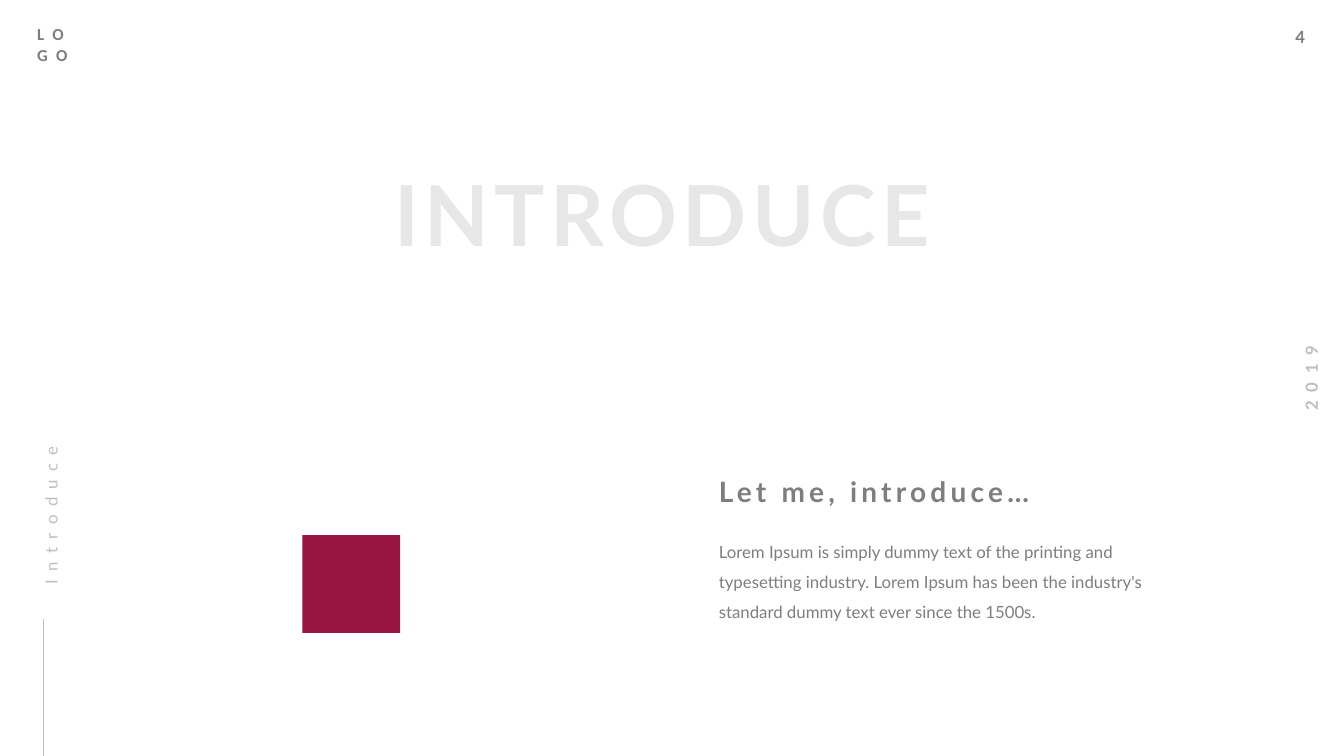
from pptx import Presentation
from pptx.dml.color import RGBColor
from pptx.enum.shapes import MSO_CONNECTOR, MSO_SHAPE
from pptx.enum.text import MSO_ANCHOR, MSO_AUTO_SIZE, PP_ALIGN
from pptx.oxml.xmlchemy import OxmlElement
from pptx.util import Inches, Pt

LEFT, CENTER = PP_ALIGN.LEFT, PP_ALIGN.CENTER
TOP, NO_FIT = MSO_ANCHOR.TOP, MSO_AUTO_SIZE.NONE
RECT, STRAIGHT = MSO_SHAPE.RECTANGLE, MSO_CONNECTOR.STRAIGHT
GRAY = RGBColor(0x7E, 0x7E, 0x7E)
SILVER = RGBColor(0xBF, 0xBF, 0xBF)
PALE = RGBColor(0xE7, 0xE7, 0xE7)
CRIMSON = RGBColor(0x98, 0x14, 0x41)
FLUSH = (0, 0, 0.1, 0)
DEFAULT_INSETS = (0.1, 0.05, 0.1, 0.05)
SPACED = {"space_before": Pt(12)}
BODY = {"space_before": Pt(12), "line_spacing": 1.5}


class SlideBuilder:
    def __init__(self, prs):
        self.font = {"name": "Lato", "size": Pt(12), "bold": False}
        self.slide = prs.slides.add_slide(prs.slide_layouts[5])

    def apply(self, target, values):
        for name, value in values.items():
            setattr(target, name, value)

    def fill_text(self, sp, lines, color, font=None, para=None, spacing=0,
                  insets=DEFAULT_INSETS, wrap=True):
        tf = sp.text_frame
        sides = ("margin_left", "margin_top", "margin_right", "margin_bottom")
        self.apply(tf, dict(zip(sides, map(Inches, insets))))
        self.apply(tf, {"word_wrap": wrap, "vertical_anchor": TOP, "auto_size": NO_FIT})
        for i, line in enumerate(lines):
            p = tf.add_paragraph() if i else tf.paragraphs[0]
            self.apply(p, {"alignment": LEFT, **(para or {})})
            r = p.add_run()
            r.text = line
            self.apply(r.font, {**self.font, **(font or {})})
            r.font.color.rgb = color
            if spacing:
                r.font._element.set("spc", str(spacing * 100))

    def title(self, text, box, color, **style):
        sp = self.slide.shapes.title
        self.apply(sp, dict(zip(("left", "top", "width", "height"), map(Inches, box))))
        self.fill_text(sp, [text], color, **style)

    def text(self, lines, box, color, rotation=0, **style):
        sp = self.slide.shapes.add_textbox(*map(Inches, box))
        sp.rotation = rotation
        self.fill_text(sp, lines, color, **style)

    def rectangle(self, box, color):
        sp = self.slide.shapes.add_shape(RECT, *map(Inches, box))
        sp.shadow.inherit = False
        sp.fill.solid()
        sp.fill.fore_color.rgb = color
        sp.line.fill.background()

    def line(self, ends, color, width):
        cx = self.slide.shapes.add_connector(STRAIGHT, *map(Inches, ends))
        cx.line.color.rgb = color
        cx.line.width = Pt(width)
        cx._element.spPr.append(OxmlElement("a:effectLst"))


prs = Presentation()
prs.slide_width, prs.slide_height = Inches(13.33), Inches(7.5)
s = SlideBuilder(prs)

s.title("INTRODUCE", (3.91, 1.61, 5.6, 1), PALE,
        font={"size": Pt(60), "bold": True}, spacing=4, insets=FLUSH, wrap=False)
s.text(["4"], (12.75, 0.22, 0.41, 0.3), GRAY, font={"bold": True}, wrap=False)
s.text(["2019"], (12.54, 3.6, 0.93, 0.3), SILVER, rotation=270,
       font={"bold": True}, para={"alignment": CENTER}, spacing=6, wrap=False)
s.text(["LO", "GO"], (0.27, 0.19, 0.59, 0.5), GRAY,
       font={"name": "Calibri", "bold": True}, spacing=6)
s.line((0.43, 7.5, 0.43, 6.14), SILVER, 0.5)
s.text(["Introduce"], (-0.49, 4.74, 1.85, 0.26), SILVER, rotation=270,
       para=BODY, spacing=6, insets=FLUSH)
s.rectangle((3, 5.31, 0.97, 0.97), CRIMSON)
s.text(["Lorem Ipsum is simply dummy text of the printing and typesetting industry. "
        "Lorem Ipsum has been the industry's standard dummy text ever since the 1500s."],
       (7.13, 5.27, 4.33, 0.87), GRAY, para=BODY, insets=FLUSH)
s.text(["Let me, introduce…"], (7.13, 4.71, 3.5, 0.34), GRAY,
       font={"size": Pt(20), "bold": True}, para=SPACED, spacing=3, insets=FLUSH)

prs.save("out.pptx")
